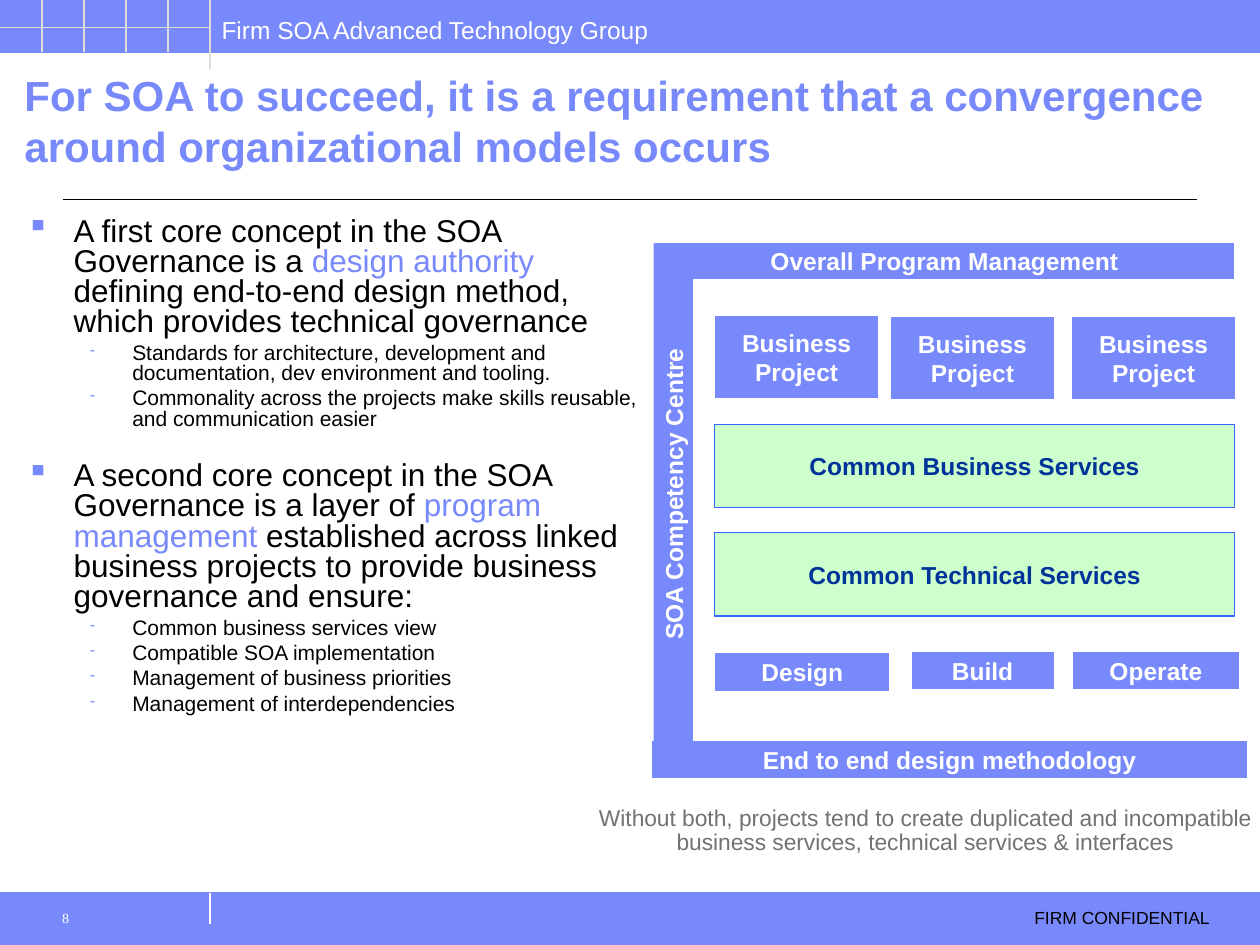
from pptx import Presentation
from pptx.dml.color import RGBColor
from pptx.enum import shapes as es, text as et
from pptx.oxml.ns import qn
from pptx.util import Pt
from lxml import etree

BLUE, WHITE, BLACK, GRID = "7889FB", "FFFFFF", "000000", "DDDDDD"
CENTER, MIDDLE = et.PP_ALIGN.CENTER, et.MSO_ANCHOR.MIDDLE


def color(hue):
    return RGBColor.from_string(hue)


def style(font, size, hue, bold=False, face="Arial"):
    font.name, font.size, font.bold = face, Pt(size), bold
    font.color.rgb = color(hue)


def rect(slide, box, fill, line=None):
    shape = slide.shapes.add_shape(es.MSO_SHAPE.RECTANGLE, *map(Pt, box))
    shape.shadow.inherit = False
    shape.fill.solid()
    shape.fill.fore_color.rgb = color(fill)
    if line:
        shape.line.color.rgb = color(line)
        shape.line.width = Pt(0.75)
    else:
        shape.line.fill.background()
    return shape


def rule(slide, x1, y1, x2, y2, hue, width=0.75):
    line = slide.shapes.add_connector(
        es.MSO_CONNECTOR.STRAIGHT, Pt(x1), Pt(y1), Pt(x2), Pt(y2))
    line.line.color.rgb = color(hue)
    line.line.width = Pt(width)
    etree.SubElement(line._element.spPr, qn("a:effectLst"))


def frame(shape, pad, wrap=True, anchor=et.MSO_ANCHOR.TOP):
    """Set insets (left, top, right, bottom), wrapping and anchor."""
    body = shape.text_frame
    body.margin_left, body.margin_top, body.margin_right, body.margin_bottom = map(Pt, pad)
    body.word_wrap, body.vertical_anchor = wrap, anchor
    return body


def label(slide, box, words, size, hue, pad=(7.2, 3.6, 7.2, 3.6), wrap=True,
          anchor=et.MSO_ANCHOR.TOP, bold=False, face="Arial"):
    body = frame(slide.shapes.add_textbox(*map(Pt, box)), pad, wrap, anchor)
    para = body.paragraphs[0]
    para.text = words
    style(para.font, size, hue, bold, face)
    return para


def block(slide, box, words, fill=BLUE, line=WHITE, hue=WHITE, wrap=True):
    shape = rect(slide, box, fill, line)
    para = frame(shape, (7.2, 3.6, 7.2, 3.6), wrap, MIDDLE).paragraphs[0]
    para.text, para.alignment = words, CENTER
    style(para.font, 14, hue, True)
    return shape


def header(slide, x, y, w, h):
    rect(slide, (x, y, w, h), BLUE, BLUE)
    label(slide, (x + 119.5, y + 5, 258.5, 24.5),
          "Firm SOA Advanced Technology Group", 14, WHITE, wrap=False)
    rule(slide, x, y + h, x + w, y + h, BLUE, 0.5)
    rule(slide, x + 120, y + h, x + 120, y + 12, WHITE)
    for i in range(1, 6):
        rule(slide, x + 24 * i, y + (39.5 if i == 5 else h), x + 24 * i, y, GRID)
    rule(slide, x + 120, y + 15.5, x, y + 15.5, GRID, 0.5)


def footer(slide, x, y, w, h):
    rect(slide, (x, y, w, h), BLUE, BLUE)
    rule(slide, x + 120, y + 18, x + 120, y, WHITE)
    rule(slide, x, y, x + w, y, BLUE, 0.5)
    label(slide, (x + 584, y + 5, 124, 19.5), "FIRM CONFIDENTIAL", 10, BLACK)
    label(slide, (x + 24, y + 5, 96, 25), "8", 8, WHITE,
          (11.5, 5, 7.2, 3.6), face="Times New Roman")


def bullet(para, mark, left, hang, scale=None):
    props = para._p.get_or_add_pPr()
    props.set("marL", str(Pt(left)))
    props.set("indent", str(-Pt(hang)))
    tint = etree.SubElement(props, qn("a:buClr"))
    etree.SubElement(tint, qn("a:srgbClr")).set("val", BLUE)
    if scale:
        etree.SubElement(props, qn("a:buSzPct")).set("val", str(scale * 1000))
    etree.SubElement(props, qn("a:buChar")).set("char", mark)


def points(slide, box):
    """Place the two core concepts, each a list of runs with its sub-points."""
    topics = [
        (["A first core concept in the SOA Governance is a ", "design authority",
          " defining end-to-end design method, which provides technical governance"],
         ["Standards for architecture, development and documentation, "
          "dev environment and tooling.",
          "Commonality across the projects make skills reusable, "
          "and communication easier"]),
        (["A second core concept in the SOA Governance is a layer of ",
          "program management",
          " established across linked business projects to provide business "
          "governance and ensure:"],
         ["Common business services view", "Compatible SOA implementation",
          "Management of business priorities", "Management of interdependencies"]),
    ]
    body = frame(slide.shapes.add_textbox(*map(Pt, box)), (3.6,) * 4)
    for i, (parts, subs) in enumerate(topics):
        para = body.add_paragraph() if i else body.paragraphs[0]
        bullet(para, "▪", 27, 27)
        para.line_spacing = 0.8
        if i:
            para.space_before = Pt(18.5)
        style(para.font, 18, BLACK)
        for j, words in enumerate(parts):
            run = para.add_run()
            run.text = words
            if j == 1:
                run.font.color.rgb = color(BLUE)
        for words in subs:
            para = body.add_paragraph()
            para.text, para.level = words, 1
            bullet(para, "-", 60.5, 24, 70)
            para.line_spacing, para.space_before = 0.8, Pt(3)
            style(para.font, 12, BLACK)


def model(slide, x, y):
    """Place the organizational model with its top left corner at x, y."""
    cols = [x + 36, x + 136.5, x + 240]
    block(slide, (x + 1.5, y, 331.5, 21.5), "Overall Program Management", wrap=False)
    for i, left in enumerate(cols):
        block(slide, (left, y + (42.5 if i else 42), 93.5, 47.5), "Business Project")
    for i, kind in enumerate(["Business", "Technical"]):
        block(slide, (cols[0], y + 104 + 62 * i, 297, 47.5),
              f"Common {kind} Services", "CCFFCC", "3366FF", "003399")
    phases = [("Design", 36, 234.5, 100), ("Build", 148, 233.5, 82),
              ("Operate", 240, 233.5, 96)]
    for words, dx, dy, w in phases:
        block(slide, (x + dx, y + dy, w, 22), words)
    block(slide, (x, y + 284.5, 340.5, 22), "End to end design methodology")
    spine = block(slide, (x - 131, y + 132.5, 286.5, 22.5),
                  "SOA Competency Centre", line=None)
    spine.rotation = 270


def main():
    deck = Presentation()
    deck.slide_width, deck.slide_height = Pt(720), Pt(540)
    slide = deck.slides.add_slide(deck.slide_layouts[6])
    footer(slide, 0, 510, 720, 30)
    header(slide, 0, 0, 720, 30)
    rule(slide, 36, 114, 684, 114, BLACK)
    label(slide, (14, 42, 706, 59),
          "For SOA to succeed, it is a requirement that a convergence "
          "around organizational models occurs", 24, BLUE, (0, 3.6, 0, 3.6),
          anchor=et.MSO_ANCHOR.BOTTOM, bold=True)
    points(slide, (11.5, 121, 365, 324))
    model(slide, 372.5, 138.5)
    note = label(slide, (337, 461, 383, 28),
                 "Without both, projects tend to create duplicated and incompatible "
                 "business services, technical services & interfaces",
                 13, "727272", (0,) * 4)
    note.alignment, note.line_spacing = CENTER, 0.9
    deck.save("out.pptx")


if __name__ == "__main__":
    main()
